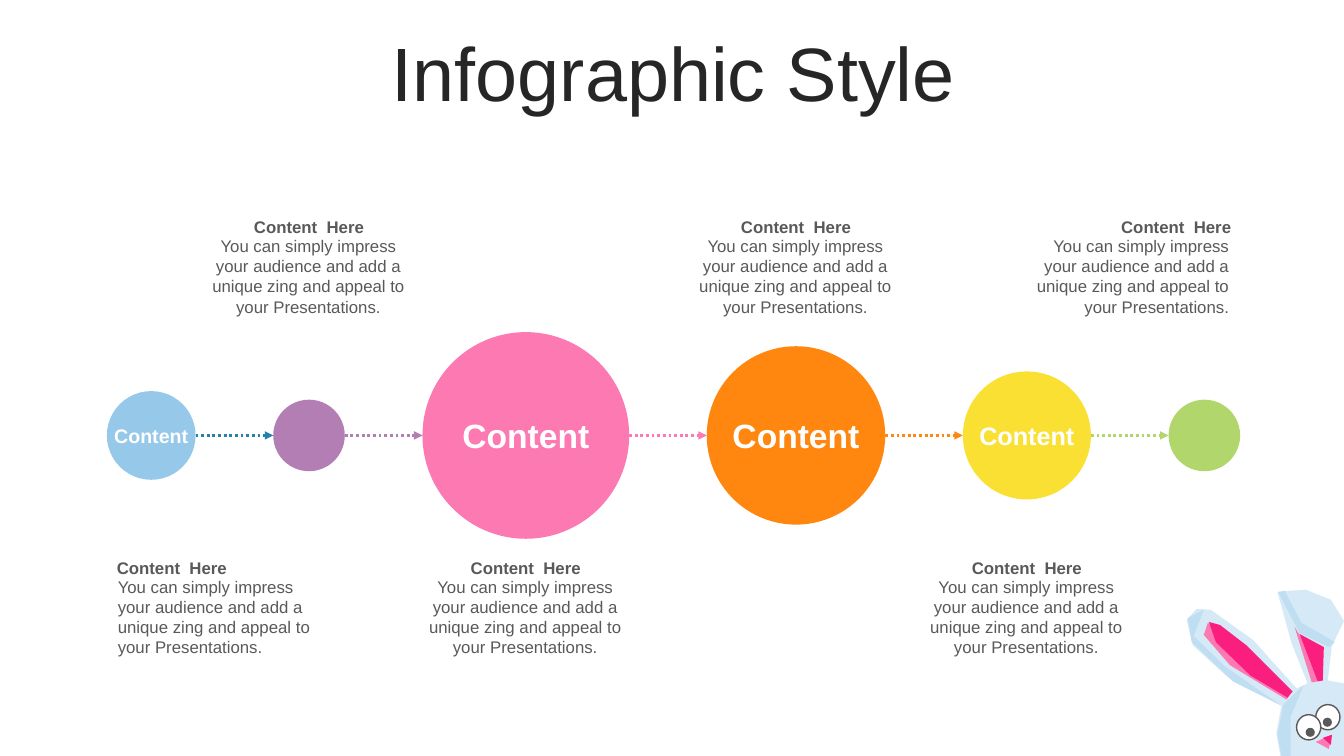
from lxml import etree
from pptx import Presentation
from pptx.dml.color import RGBColor
from pptx.enum import dml, shapes, text
from pptx.oxml.ns import qn
from pptx.util import Inches, Pt

WHITE = RGBColor(0xFF, 0xFF, 0xFF)
INK = RGBColor(0x26, 0x26, 0x26)
GREY = RGBColor(0x59, 0x59, 0x59)
SKY = RGBColor(0x96, 0xC8, 0xE9)
BLUE = RGBColor(0x26, 0x81, 0xAD)
PURPLE = RGBColor(0xB3, 0x7E, 0xB3)
PINK = RGBColor(0xFC, 0x79, 0xB2)
ORANGE = RGBColor(0xFF, 0x87, 0x0F)
YELLOW = RGBColor(0xFB, 0xE0, 0x34)
GREEN = RGBColor(0xB0, 0xD6, 0x6C)
FUR = RGBColor(0xD5, 0xE9, 0xF6)
FUR_SHADE = RGBColor(0xC0, 0xDE, 0xF2)
MAGENTA = RGBColor(0xFA, 0x1E, 0x7E)
LEFT, CENTER, RIGHT = text.PP_ALIGN.LEFT, text.PP_ALIGN.CENTER, text.PP_ALIGN.RIGHT
TOP, MIDDLE = text.MSO_ANCHOR.TOP, text.MSO_ANCHOR.MIDDLE

prs = Presentation()
prs.slide_width, prs.slide_height = Inches(13.33), Inches(7.5)
s = prs.slides.add_slide(prs.slide_layouts[6])


def add_text(words, left, top, width, height, size, color,
             align=CENTER, bold=False, anchor=TOP):
    sp = s.shapes.add_textbox(Inches(left), Inches(top), Inches(width), Inches(height))
    tf = sp.text_frame
    tf.word_wrap = True
    tf.vertical_anchor = anchor
    p = tf.paragraphs[0]
    p.text = words
    p.alignment = align
    p.font.name, p.font.size, p.font.bold = "Arial", Pt(size), bold
    p.font.color.rgb = color
    return p


def add_oval(left, top, width, height, fill, line=None):
    sp = s.shapes.add_shape(shapes.MSO_SHAPE.OVAL, Inches(left), Inches(top),
                            Inches(width), Inches(height))
    sp.shadow.inherit = False
    sp.fill.solid()
    sp.fill.fore_color.rgb = fill
    if line is None:
        sp.line.fill.background()
    else:
        sp.line.color.rgb = line
        sp.line.width = Pt(1)


# Rabbit in the corner, in hundredths of an inch
rabbit = [
    (FUR, [(1270, 750), (1266, 727), (1271, 700), (1217, 671), (1183, 640), (1177, 615),
           (1187, 604), (1201, 605), (1243, 635), (1286, 683), (1297, 678), (1281, 638),
           (1267, 587), (1295, 585), (1320, 595), (1333, 616), (1321, 641), (1317, 675),
           (1333, 678), (1333, 750)]),
    (FUR_SHADE, [(1293, 680), (1273, 699), (1267, 729), (1271, 750), (1280, 750),
                 (1280, 711)]),
    (FUR_SHADE, [(1194, 605), (1178, 613), (1182, 637), (1223, 676), (1271, 700),
                 (1216, 662), (1184, 631)]),
    (FUR_SHADE, [(1274, 586), (1268, 588), (1289, 628), (1318, 642), (1324, 637),
                 (1291, 618)]),
    (PINK, [(1198, 618), (1194, 630), (1220, 660), (1276, 694), (1281, 687)]),
    (PINK, [(1284, 622), (1301, 677), (1312, 675), (1295, 640)]),
    (MAGENTA, [(1199, 617), (1206, 637), (1240, 670), (1277, 692), (1282, 686),
               (1236, 640), (1210, 620)]),
    (MAGENTA, [(1289, 629), (1307, 676), (1312, 675), (1313, 642)]),
    (PINK, [(1305, 736), (1321, 729), (1318, 743)]),
    (MAGENTA, [(1312, 732), (1321, 729), (1320, 739)]),
]
for color, outline in rabbit:
    builder = s.shapes.build_freeform(*outline[0], scale=Inches(0.01))
    builder.add_line_segments(outline[1:])
    sp = builder.convert_to_shape()
    sp.shadow.inherit = False
    sp.fill.solid()
    sp.fill.fore_color.rgb = color
    sp.line.fill.background()

for eye_left, eye_top, pupil_left, pupil_top in [(13.05, 6.99, 13.12, 7.12),
                                                 (12.86, 7.09, 12.95, 7.22)]:
    add_oval(eye_left, eye_top, 0.24, 0.25, WHITE, GREY)
    add_oval(pupil_left, pupil_top, 0.09, 0.09, GREY)

title = add_text("Infographic Style", 0.35, 0.37, 12.66, 0.79, 54, INK, anchor=MIDDLE)
title.line_spacing = 0.9

# Chain of circles: diameter, fill, colour of the arrow that follows, label size
AXIS, GAP = 4.32, 0.77
chain = [
    (0.88, SKY, BLUE, 14),
    (0.71, PURPLE, PURPLE, None),
    (2.05, PINK, PINK, 24),
    (1.77, ORANGE, ORANGE, 24),
    (1.27, YELLOW, GREEN, 18),
    (0.71, GREEN, None, None),
]
left = 1.06
for diameter, fill, arrow, size in chain:
    add_oval(left, AXIS - diameter / 2, diameter, diameter, fill)
    if size:
        width, height = max(diameter, 1.02), size / 48
        add_text("Content", left + (diameter - width) / 2, AXIS - height / 2,
                 width, height, size, WHITE, bold=True, anchor=MIDDLE)
    left += diameter
    if arrow:
        cxn = s.shapes.add_connector(shapes.MSO_CONNECTOR.STRAIGHT, Inches(left),
                                     Inches(AXIS), Inches(left + GAP), Inches(AXIS))
        cxn.line.color.rgb = arrow
        cxn.line.width = Pt(2)
        cxn.line.dash_style = dml.MSO_LINE.ROUND_DOT
        sp_pr = cxn._element.spPr
        etree.SubElement(sp_pr.find(qn("a:ln")), qn("a:tailEnd"), type="triangle")
        etree.SubElement(sp_pr, qn("a:effectLst"))
    left += GAP

BODY = ("You can simply impress your audience and add a unique zing "
        "and appeal to your Presentations.")
UPPER, LOWER = 2.1, 5.48
captions = [
    (1.92, UPPER, CENTER), (4.07, LOWER, CENTER), (9.04, LOWER, CENTER),
    (6.75, UPPER, CENTER), (10.02, UPPER, RIGHT), (1.06, LOWER, LEFT),
]
for left, top, align in captions:
    add_text(BODY, left + 0.01, top + 0.19, 2.26, 0.91, 12, GREY, align)
    add_text("Content  Here", left, top, 2.29, 0.3, 12, GREY, align, bold=True)

prs.save("out.pptx")
